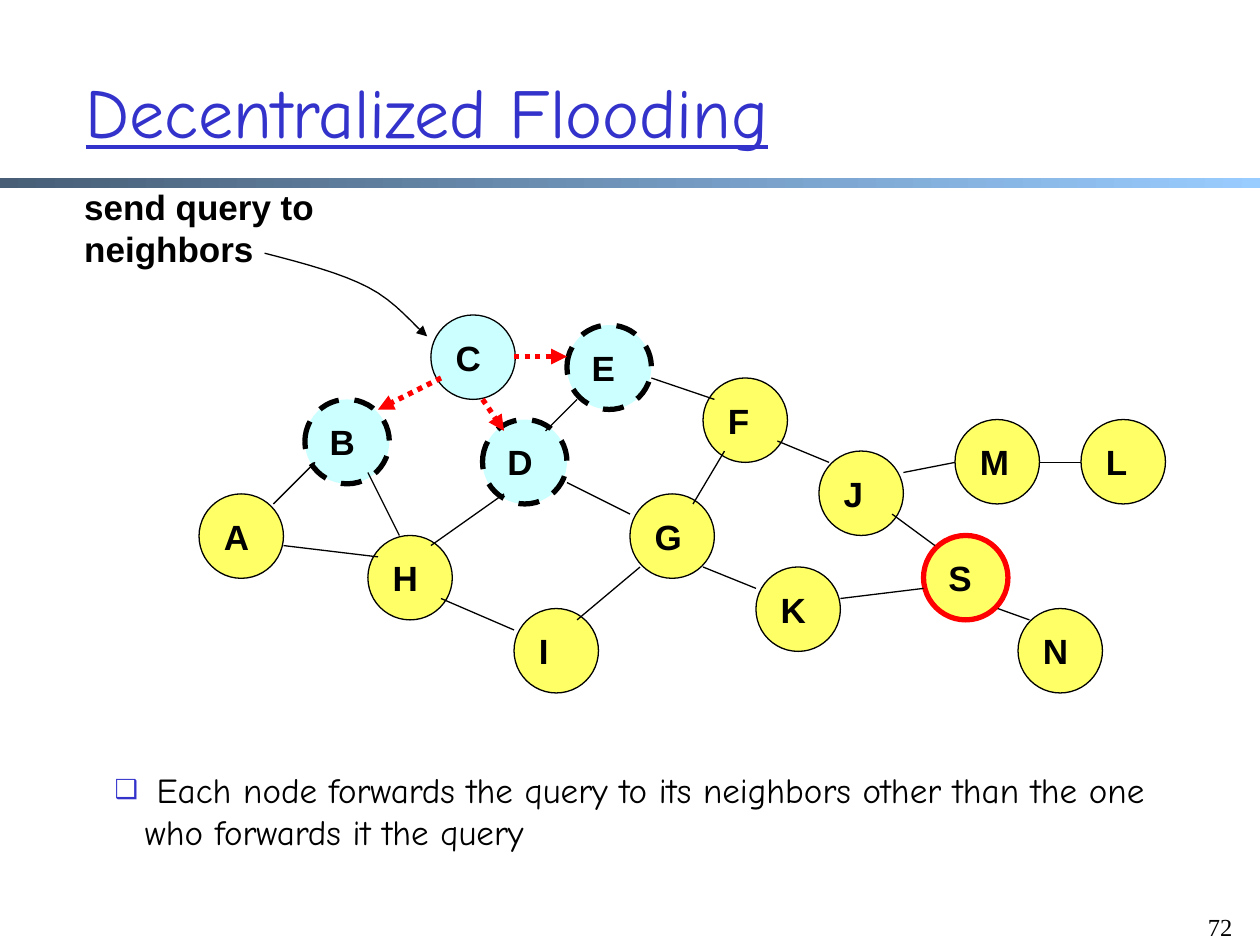
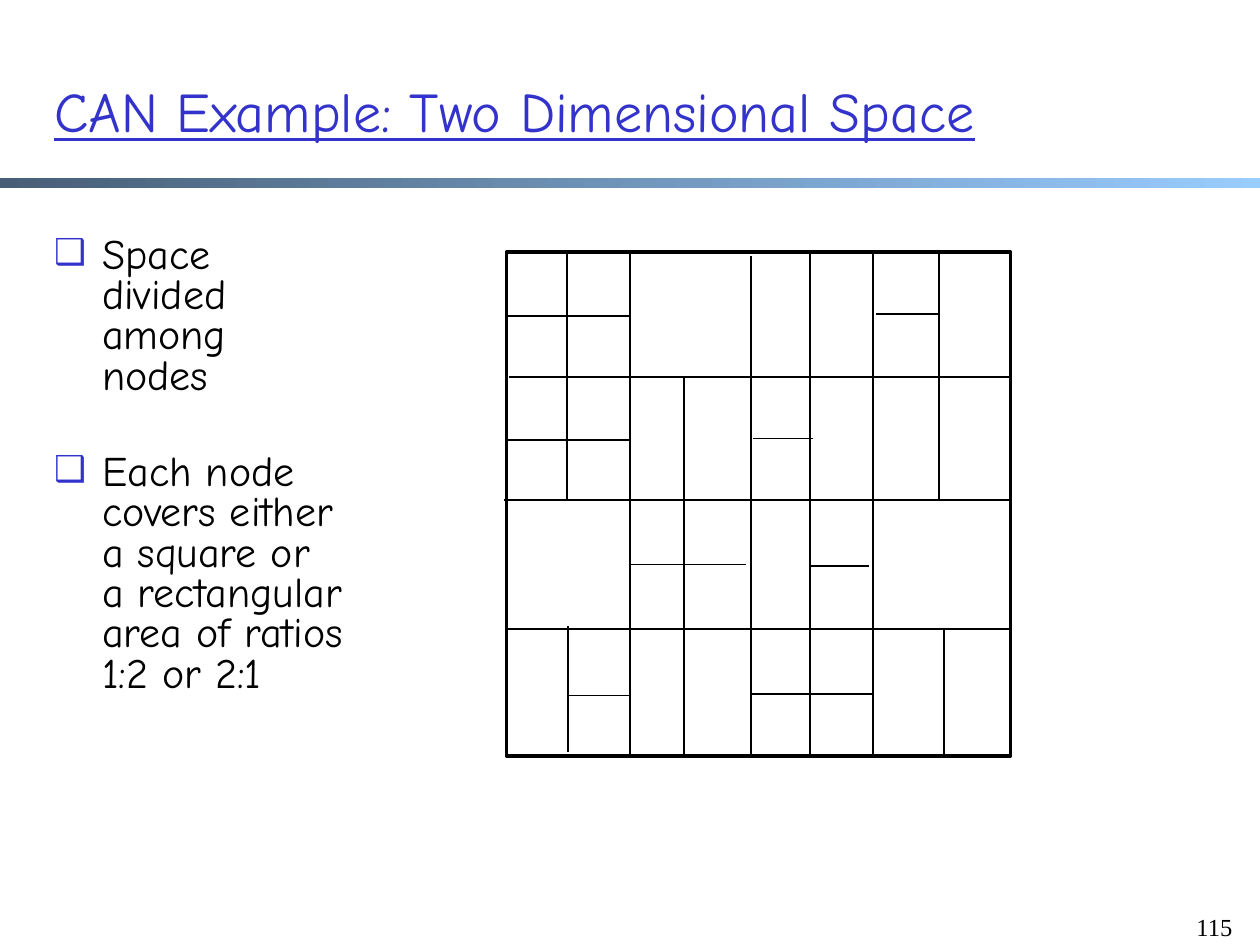
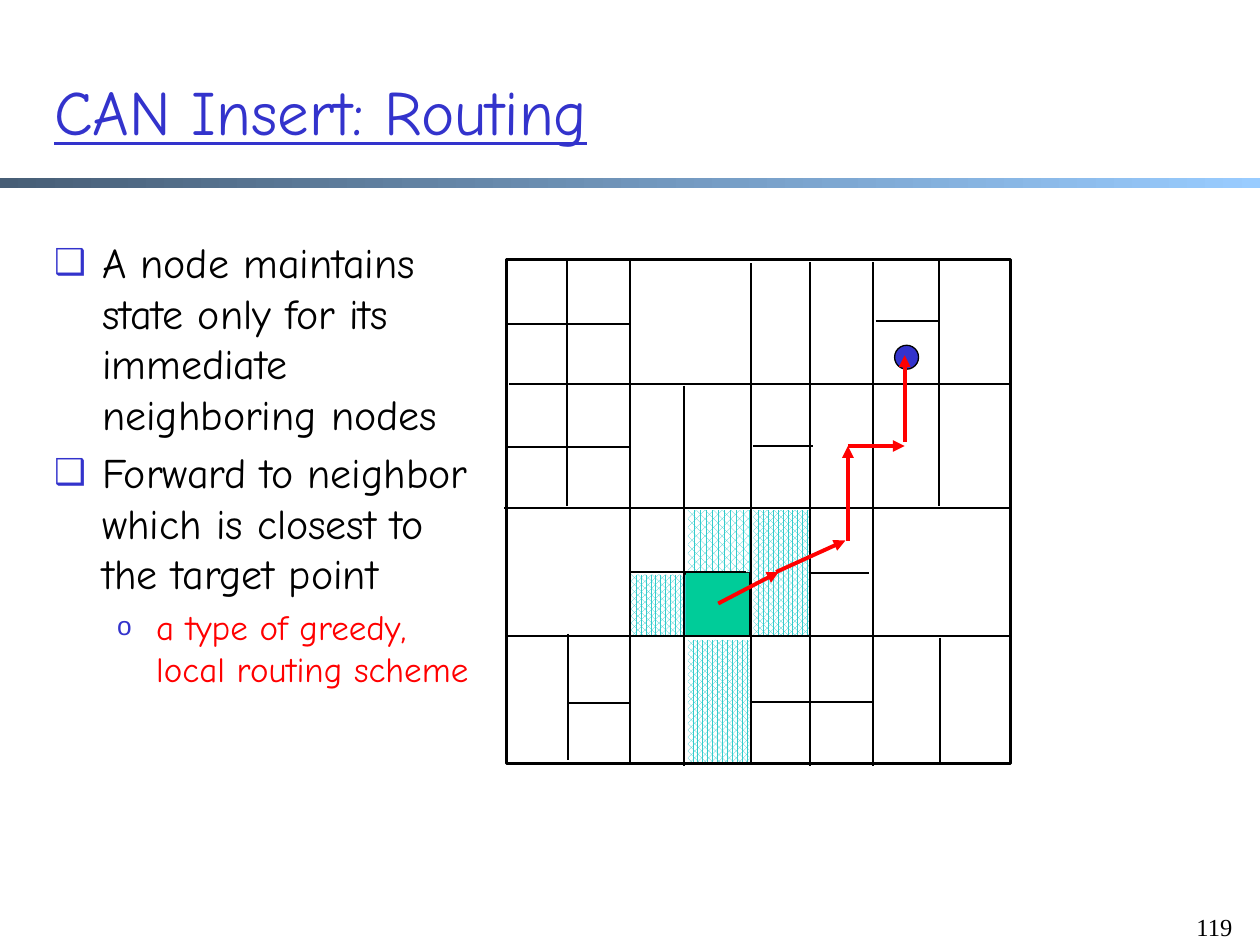
import pptx
import pptx.dml.color
import pptx.enum.dml
import pptx.enum.shapes
import pptx.enum.text
import pptx.oxml
import pptx.oxml.ns
import pptx.util
from lxml import etree

Inches = pptx.util.Inches
Pt = pptx.util.Pt
RGBColor = pptx.dml.color.RGBColor
Shape = pptx.enum.shapes.MSO_SHAPE
Dash = pptx.enum.dml.MSO_LINE
Pattern = pptx.enum.dml.MSO_PATTERN
Anchor = pptx.enum.text.MSO_ANCHOR
Align = pptx.enum.text.PP_ALIGN
qn = pptx.oxml.ns.qn

BLACK = RGBColor(0x00, 0x00, 0x00)
WHITE = RGBColor(0xFF, 0xFF, 0xFF)
RED = RGBColor(0xFF, 0x00, 0x00)
BLUE = RGBColor(0x33, 0x33, 0xCC)
BAND_DARK = RGBColor(0x47, 0x5E, 0x76)
BAND_LIGHT = RGBColor(0x99, 0xCC, 0xFF)
REACHED = RGBColor(0xCC, 0xFF, 0xFF)
WAITING = RGBColor(0xFF, 0xFF, 0x66)
NEIGHBOR = RGBColor(0x33, 0xCC, 0xCC)
OWNER = RGBColor(0x00, 0xCC, 0x99)

COMIC, ARIAL, TIMES = "Comic Neue", "Arial", "Times New Roman"

# Flooding network: node corners and plain links
NODE_SIZE = 0.67
NODES = {
    "B": (2.42, 3.17), "A": (1.58, 3.92), "C": (3.42, 2.5), "E": (4.5, 2.58),
    "F": (5.58, 3), "H": (2.92, 4.25), "J": (6.5, 3.58), "S": (7.33, 4.25),
    "D": (3.83, 3.33), "G": (5, 3.92), "I": (4.08, 4.83), "K": (6, 4.5),
    "M": (7.58, 3.33), "N": (8.08, 4.83), "L": (8.58, 3.33),
}
LINKS = [
    (2.17, 4, 2.5, 3.67), (2.25, 4.33, 3, 4.42), (2.92, 3.75, 3.17, 4.25),
    (4, 3.92, 3.42, 4.33), (4.58, 3.17, 4.33, 3.42), (5.17, 3, 5.67, 3.17),
    (5.75, 3.58, 5.5, 4), (5.08, 4.5, 4.58, 4.92), (4.5, 3.83, 5, 4.08),
    (3.5, 4.75, 4.08, 5), (6.17, 3.5, 6.58, 3.67), (5.58, 4.5, 6, 4.67),
    (7.08, 4.08, 7.42, 4.33), (7.33, 4.67, 6.67, 4.75),
    (7.17, 3.75, 7.58, 3.67), (7.92, 4.83, 8.17, 4.92),
    (8.25, 3.67, 8.58, 3.67),
]
QUERIES = [(3.5, 3, 3, 3.25), (4.08, 2.83, 4.5, 2.83), (3.83, 3.17, 4, 3.42)]

# CAN space: walls as x, y from, y to and y, x from, x to; y counts from its top
COLUMN_WALLS = [
    (4.5, 0.01, 1.96), (5, 0.01, 4.01), (5.43, 1, 4.02), (5.96, 0.03, 4),
    (6.43, 0.02, 4.02), (6.93, 0.02, 4.02), (7.45, 0, 1.96), (4.51, 2.97, 3.97),
]
ROW_WALLS = [
    (0.99, 4.04, 8.02), (1.97, 4, 8.03), (2.99, 4.02, 8.02), (0.51, 4.01, 5),
    (1.49, 4.02, 5.01), (3.52, 4.51, 5), (2.48, 5.01, 5.92), (3.51, 5.97, 6.92),
    (0.49, 6.95, 7.46), (1.48, 5.98, 6.45), (2.49, 6.44, 6.9),
]


def bezier(start, control1, control2, end, steps=8):
    """Points along a cubic curve, without its start."""
    points = []
    for step in range(1, steps + 1):
        t = step / steps
        weights = ((1 - t) ** 3, 3 * t * (1 - t) ** 2, 3 * t * t * (1 - t), t ** 3)
        points.append(tuple(
            sum(w * p[axis] for w, p in zip(weights, (start, control1, control2, end)))
            for axis in (0, 1)))
    return points


class Deck:
    def __init__(self):
        self.prs = pptx.Presentation()
        self.prs.slide_width, self.prs.slide_height = Inches(10), Inches(7.5)
        self.slide = None

    # Shared frame of a slide
    def new_slide(self, title, size, number, left=0.33, width=9):
        self.slide = self.prs.slides.add_slide(self.prs.slide_layouts[1])
        band = self.shape(Shape.RECTANGLE, 0, 1.41, 10, 0.08)
        band.fill.gradient()
        band.fill.gradient_angle = 0
        for stop, color in zip(band.fill.gradient_stops, (BAND_DARK, BAND_LIGHT)):
            stop.color.rgb = color
        heading = self.place(self.slide.shapes.title, left, 0.25, width, 1.25)
        paragraph = self.set_frame(heading, Anchor.MIDDLE).paragraphs[0]
        paragraph.alignment = Align.LEFT
        self.add_runs(paragraph, title, size, COMIC, BLUE).font.underline = True
        self.text(number, 9.38, 7.19, 0.5, 0.5, 14, TIMES, align=Align.RIGHT)

    # Text
    def place(self, shape, left, top, width, height):
        shape.left, shape.top = Inches(left), Inches(top)
        shape.width, shape.height = Inches(width), Inches(height)
        return shape

    def set_frame(self, shape, anchor, wrap=True):
        frame = shape.text_frame
        frame.auto_size = pptx.enum.text.MSO_AUTO_SIZE.NONE
        frame.word_wrap = wrap
        frame.vertical_anchor = anchor
        return frame

    def add_runs(self, paragraph, text, size, font, color=BLACK, bold=False):
        for index, line in enumerate(text.split("\n")):
            if index:
                paragraph.add_line_break()
            run = paragraph.add_run()
            run.text = line
            run.font.size, run.font.name, run.font.bold = Pt(size), font, bold
            run.font.color.rgb = color
        return run

    def text(self, text, left, top, width, height, size, font, bold=False,
             align=Align.LEFT, anchor=Anchor.TOP):
        box = self.slide.shapes.add_textbox(
            Inches(left), Inches(top), Inches(width), Inches(height))
        paragraph = self.set_frame(box, anchor).paragraphs[0]
        paragraph.alignment = align
        self.add_runs(paragraph, text, size, font, bold=bold)

    def body(self, left, top, width, height, anchor=Anchor.TOP):
        holder = self.place(self.slide.placeholders[1], left, top, width, height)
        return self.set_frame(holder, anchor)

    def bullet(self, frame, text, size=24, color=BLACK, level=0, margin=0.38,
               hang=0.38, mark="❑", mark_size=85, spacing=1.0, before=None):
        first = not frame.paragraphs[0].runs
        paragraph = frame.paragraphs[0] if first else frame.add_paragraph()
        paragraph.level = level
        props = paragraph._p.get_or_add_pPr()
        props.set("marL", str(Inches(margin)))
        props.set("indent", str(-Inches(hang)))
        mark_color = etree.SubElement(props, qn("a:buClr"))
        etree.SubElement(mark_color, qn("a:srgbClr"), val=str(BLUE))
        etree.SubElement(props, qn("a:buSzPct"), val=str(mark_size * 1000))
        etree.SubElement(props, qn("a:buChar"), char=mark)
        paragraph.line_spacing = spacing
        gap = size * 0.2 if before is None else before
        paragraph.space_before = Pt(0 if first else gap)
        self.add_runs(paragraph, text, size, COMIC, color)

    # Shapes and lines
    def shape(self, kind, left, top, width, height, fill=None, line=None,
              weight=0.75, dash=None):
        shape = self.slide.shapes.add_shape(
            kind, Inches(left), Inches(top), Inches(width), Inches(height))
        return self.paint(shape, fill, line, weight, dash)

    def paint(self, shape, fill=None, line=None, weight=0.75, dash=None):
        shape.shadow.inherit = False
        if fill is None:
            shape.fill.background()
        else:
            shape.fill.solid()
            shape.fill.fore_color.rgb = fill
        if line is None:
            shape.line.fill.background()
        else:
            self.stroke(shape, line, weight, dash)
        return shape

    def stroke(self, shape, color, weight, dash=None, arrow=False):
        shape.line.color.rgb = color
        shape.line.width = Pt(weight)
        if dash:
            shape.line.dash_style = dash
        if arrow:
            outline = shape.element.spPr.find(qn("a:ln"))
            etree.SubElement(outline, qn("a:tailEnd"), type="triangle")

    def line(self, x1, y1, x2, y2, color=BLACK, weight=0.75, dash=None, arrow=False):
        connector = self.slide.shapes.add_connector(
            pptx.enum.shapes.MSO_CONNECTOR.STRAIGHT,
            Inches(x1), Inches(y1), Inches(x2), Inches(y2))
        self.stroke(connector, color, weight, dash, arrow)
        etree.SubElement(connector.element.spPr, qn("a:effectLst"))

    def curve_arrow(self, points):
        (x, y), *rest = [(Inches(px), Inches(py)) for px, py in points]
        builder = self.slide.shapes.build_freeform(x, y)
        builder.add_line_segments(rest, close=False)
        curve = self.paint(builder.convert_to_shape())
        self.stroke(curve, BLACK, 0.75, arrow=True)

    def node(self, letter, left, top, fill, line=BLACK, weight=0.75, dash=None):
        circle = self.shape(Shape.OVAL, left, top, NODE_SIZE, NODE_SIZE,
                            fill, line, weight, dash)
        paragraph = self.set_frame(circle, Anchor.MIDDLE, wrap=False).paragraphs[0]
        paragraph.alignment = Align.LEFT
        self.add_runs(paragraph, letter, 20, ARIAL, bold=True)

    def neighbor_zone(self, left, top, width, height, pattern=Pattern.PERCENT_75):
        zone = self.shape(Shape.RECTANGLE, left, top, width, height)
        zone.fill.patterned()
        zone.fill.pattern = pattern
        zone.fill.fore_color.rgb = NEIGHBOR
        zone.fill.back_color.rgb = WHITE

    def can_space(self, top, last_wall):
        self.shape(Shape.RECTANGLE, 4.02, top, 4, 4, line=BLACK, weight=2)
        for x, start, end in COLUMN_WALLS + [(last_wall, 3, 4)]:
            self.line(x, top + start, x, top + end, weight=1)
        for y, start, end in ROW_WALLS:
            self.line(start, top + y, end, top + y, weight=1)


def flooding(deck):
    deck.new_slide("Decentralized Flooding", 40, "72", left=0.58, width=8.93)
    for letter, (left, top) in NODES.items():
        if letter in "BDE":
            deck.node(letter, left, top, REACHED, weight=3, dash=Dash.DASH)
        elif letter == "S":
            deck.node(letter, left, top, WAITING, RED, 3)
        else:
            deck.node(letter, left, top, REACHED if letter == "C" else WAITING)
    for link in LINKS:
        deck.line(*link)
    for query in QUERIES:
        deck.line(*query, color=RED, weight=3, dash=Dash.ROUND_DOT, arrow=True)
    # Callout at the sender
    deck.text("send query to\nneighbors", 0.57, 1.59, 3.44, 0.43, 20, ARIAL,
              bold=True, anchor=Anchor.MIDDLE)
    start, bend, end = (2.1, 2.01), (2.92, 2.28), (3.39, 2.67)
    deck.curve_arrow([start] + bezier(start, (2.41, 2.09), (2.71, 2.17), bend)
                     + bezier(bend, (3.14, 2.39), (3.3, 2.6), end))
    rule = deck.body(0.81, 6.05, 9.02, 0.77, Anchor.MIDDLE)
    deck.bullet(rule, " Each node forwards the query to its neighbors other than "
                "the one\nwho forwards it the query",
                size=20, margin=0.24, hang=0.24, mark_size=75)


def can_example(deck):
    deck.new_slide("CAN Example: Two Dimensional Space", 32, "115")
    points = deck.body(0.33, 1.83, 2.5, 5.17)
    for point in ("Space divided among nodes",
                  "Each node covers either a square or a rectangular area of "
                  "ratios 1:2 or 2:1"):
        deck.bullet(points, point, spacing=0.8, before=32)
    deck.can_space(2, 7.49)


def can_routing(deck):
    deck.new_slide("CAN Insert: Routing", 36, "119")
    points = deck.body(0.33, 1.83, 3.49, 5.17)
    deck.bullet(points, "A node maintains state only for its immediate neighboring nodes")
    deck.bullet(points, "Forward to neighbor which is closest to the target point")
    deck.bullet(points, "a type of greedy, local routing scheme", size=20, color=RED,
                level=1, margin=0.81, hang=0.31, mark="o", mark_size=75)
    # Target point, owner and its neighbors
    deck.shape(Shape.OVAL, 7.1, 2.74, 0.19, 0.19, BLUE, BLACK)
    deck.shape(Shape.RECTANGLE, 5.44, 4.54, 0.51, 0.51, OWNER, BLACK)
    deck.neighbor_zone(5.01, 4.56, 0.43, 0.49)
    deck.neighbor_zone(5.46, 5.08, 0.49, 0.97)
    deck.neighbor_zone(5.98, 4.05, 0.44, 1)
    deck.neighbor_zone(5.46, 4.05, 0.49, 0.49, Pattern.PERCENT_70)
    deck.can_space(2.06, 7.46)
    # Route to the target
    for hop in ((5.7, 4.79, 6.18, 4.54), (6.16, 4.54, 6.71, 4.29),
                (6.73, 4.29, 6.73, 3.54), (6.73, 3.54, 7.18, 3.54),
                (7.18, 3.51, 7.18, 2.82)):
        deck.line(*hop, color=RED, weight=2.25, arrow=True)


def main():
    deck = Deck()
    flooding(deck)
    can_example(deck)
    can_routing(deck)
    deck.prs.save("out.pptx")


if __name__ == "__main__":
    main()
